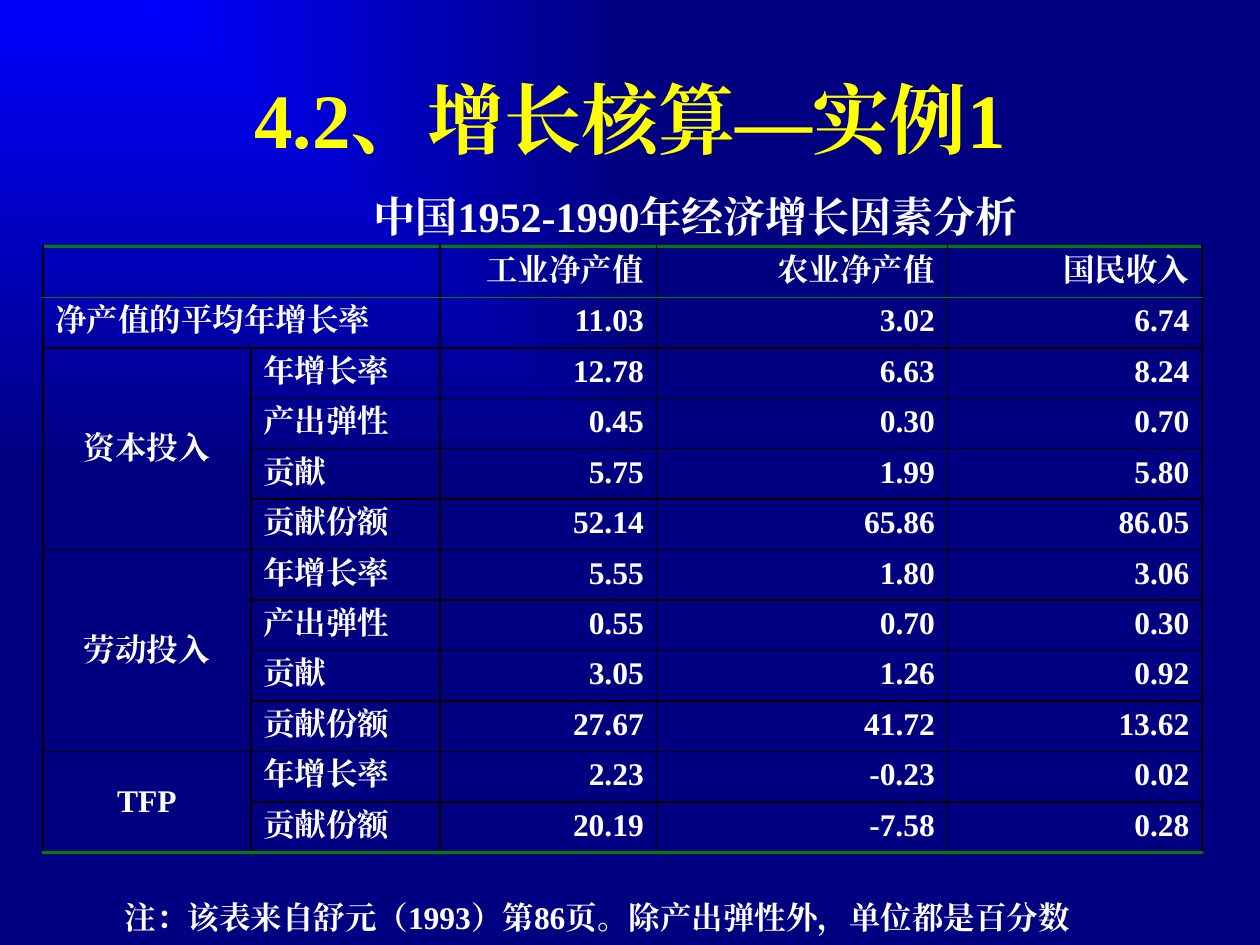
from lxml import etree
from pptx import Presentation
from pptx.dml.color import RGBColor
from pptx.enum.text import MSO_ANCHOR as Anchor, PP_ALIGN as Align
from pptx.oxml import parse_xml
from pptx.oxml.ns import nsdecls, qn
from pptx.util import Inches, Pt

FONT = "Times New Roman"
WHITE, YELLOW, BLACK, GREEN = "FFFFFF", "FFFF00", "000000", "008000"

TITLE = "4.2、增长核算—实例1"
CAPTION = "中国1952-1990年经济增长因素分析"
NOTE = "注：该表来自舒元（1993）第86页。除产出弹性外，单位都是百分数"

HEADERS = ["工业净产值", "农业净产值", "国民收入"]
OUTPUT_GROWTH = ("净产值的平均年增长率", ["11.03", "3.02", "6.74"])
FACTORS = [
    ("资本投入", [
        ("年增长率", ["12.78", "6.63", "8.24"]),
        ("产出弹性", ["0.45", "0.30", "0.70"]),
        ("贡献", ["5.75", "1.99", "5.80"]),
        ("贡献份额", ["52.14", "65.86", "86.05"]),
    ]),
    ("劳动投入", [
        ("年增长率", ["5.55", "1.80", "3.06"]),
        ("产出弹性", ["0.55", "0.70", "0.30"]),
        ("贡献", ["3.05", "1.26", "0.92"]),
        ("贡献份额", ["27.67", "41.72", "13.62"]),
    ]),
    ("TFP", [
        ("年增长率", ["2.23", "-0.23", "0.02"]),
        ("贡献份额", ["20.19", "-7.58", "0.28"]),
    ]),
]
COLUMN_WIDTHS = [1.65, 1.5, 1.72, 2.31, 2.02]
ROW_HEIGHT = 0.4
TABLE_LEFT, TABLE_TOP = 0.34, 1.96


def rgb(color):
    return RGBColor.from_string(color)


def write(frame, text, align=Align.LEFT, size=18, color=WHITE):
    paragraph = frame.paragraphs[0]
    paragraph.alignment = align
    run = paragraph.add_run()
    run.text = text
    for name, value in {"name": FONT, "size": Pt(size), "bold": True}.items():
        setattr(run.font, name, value)
    run.font.color.rgb = rgb(color)
    east_asian = etree.SubElement(run.font._element, qn("a:ea"))
    east_asian.set("typeface", FONT)
    return paragraph


def add_text(slide, box, text, **style):
    frame = slide.shapes.add_textbox(*map(Inches, box)).text_frame
    frame.word_wrap = True
    frame.vertical_anchor = Anchor.MIDDLE
    return write(frame, text, **style)


def paint_background(slide):
    """Fade from bright blue in the top left corner to navy."""
    slide._element.cSld.insert(0, parse_xml(
        f'<p:bg {nsdecls("p", "a")}><p:bgPr><a:gradFill rotWithShape="0"><a:gsLst>'
        '<a:gs pos="0"><a:srgbClr val="0000FF"/></a:gs>'
        '<a:gs pos="100000"><a:srgbClr val="000080"/></a:gs></a:gsLst>'
        '<a:path path="rect"><a:fillToRect r="100000" b="100000"/></a:path>'
        '</a:gradFill><a:effectLst/></p:bgPr></p:bg>'))


def set_borders(cell, **edges):
    """Draw the edges L, R, T and B, each given as (colour, points)."""
    properties = cell._tc.get_or_add_tcPr()
    for edge in "LRTB":
        color, points = edges.get(edge, (BLACK, 1))
        properties.append(parse_xml(
            f'<a:ln{edge} {nsdecls("a")} w="{Pt(points)}"><a:solidFill>'
            f'<a:srgbClr val="{color}"/></a:solidFill></a:ln{edge}>'))


def add_growth_table(slide):
    row_count = 2 + sum(len(measures) for _, measures in FACTORS)
    table = slide.shapes.add_table(
        row_count, len(COLUMN_WIDTHS), Inches(TABLE_LEFT), Inches(TABLE_TOP),
        Inches(sum(COLUMN_WIDTHS)), Inches(ROW_HEIGHT * row_count)).table
    table.first_row = table.horz_banding = False
    for column, width in zip(table.columns, COLUMN_WIDTHS):
        column.width = Inches(width)

    green_edges = {
        0: {"T": (GREEN, 2), "B": (GREEN, 1)},
        1: {"T": (GREEN, 1)},
        row_count - 1: {"B": (GREEN, 2)},
    }
    for index, row in enumerate(table.rows):
        row.height = Inches(ROW_HEIGHT)
        for cell in row.cells:
            set_borders(cell, **green_edges.get(index, {}))
            cell.fill.background()

    def write_values(row, values):
        for column, value in enumerate(values, start=2):
            write(table.cell(row, column).text_frame, value, Align.RIGHT)

    for row in (0, 1):
        table.cell(row, 0).merge(table.cell(row, 1))
    write_values(0, HEADERS)
    label, values = OUTPUT_GROWTH
    write(table.cell(1, 0).text_frame, label)
    write_values(1, values)

    row = 2
    for factor, measures in FACTORS:
        heading = table.cell(row, 0)
        last = row + len(measures) - 1
        heading.merge(table.cell(last, 0))
        heading.vertical_anchor = Anchor.MIDDLE
        write(heading.text_frame, factor, Align.CENTER)
        if last == row_count - 1:
            bottom = heading._tc.tcPr.find(qn("a:lnB"))
            bottom.set("w", str(Pt(2)))
            bottom.find(".//" + qn("a:srgbClr")).set("val", GREEN)
        for measure, values in measures:
            write(table.cell(row, 1).text_frame, measure)
            write_values(row, values)
            row += 1


def main():
    deck = Presentation()
    deck.slide_width, deck.slide_height = Inches(10), Inches(7.5)
    slide = deck.slides.add_slide(deck.slide_layouts[5])
    paint_background(slide)

    title = slide.shapes.title
    title.left, title.top, title.width, title.height = map(
        Inches, (0.75, 0.31, 8.5, 1.25))
    title.text_frame.vertical_anchor = Anchor.MIDDLE
    write(title.text_frame, TITLE, Align.CENTER, 44, YELLOW)

    add_text(slide, (2.71, 1.46, 5.62, 0.5), CAPTION, align=Align.CENTER, size=24)
    add_growth_table(slide)
    note = add_text(slide, (0.31, 7.08, 9.35, 0.4), NOTE)
    note._p.get_or_add_pPr().set("indent", str(Inches(0.58)))
    deck.save("out.pptx")


if __name__ == "__main__":
    main()
